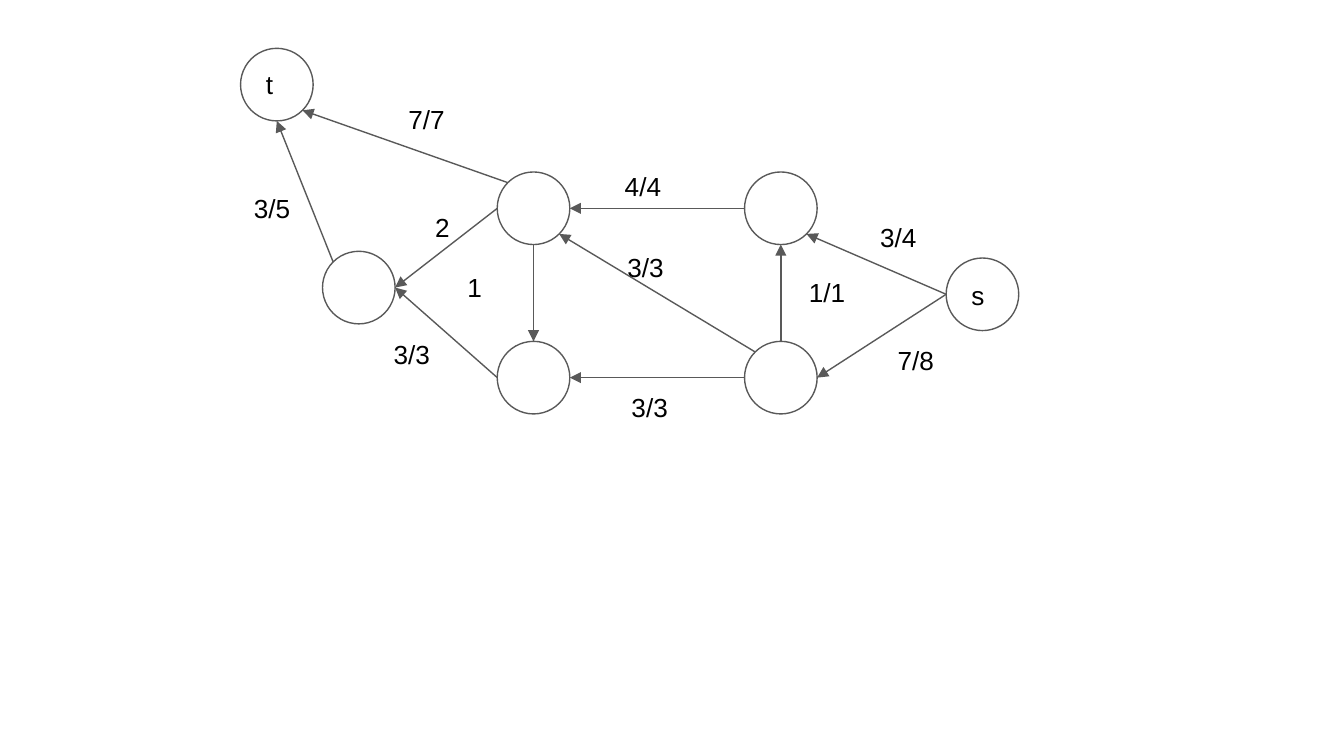
from math import sqrt

from lxml import etree
from pptx import Presentation
from pptx.dml.color import RGBColor
from pptx.enum.shapes import MSO_CONNECTOR, MSO_SHAPE
from pptx.enum.text import MSO_AUTO_SIZE
from pptx.oxml.ns import qn
from pptx.util import Inches, Pt

SLIDE_WIDTH = 10
SLIDE_HEIGHT = SLIDE_WIDTH * 9 / 16
DIAMETER = 0.54
LABEL_HEIGHT = 0.44

# Compass points on a circle of radius 1
DIAGONAL = sqrt(0.5)
COMPASS = {
    "N": (0, -1), "S": (0, 1), "W": (-1, 0), "E": (1, 0),
    "NW": (-DIAGONAL, -DIAGONAL), "SE": (DIAGONAL, DIAGONAL),
}


def color(hex_value):
    return RGBColor.from_string(hex_value)


class FlowGraph:
    font, size = "Arial", 14
    ink, stroke, paper = "000000", "595959", "FFFFFF"
    stroke_width = 0.75

    def __init__(self, slide, nodes):
        self.slide = slide
        self.nodes = nodes

    def outline(self, line):
        line.color.rgb = color(self.stroke)
        line.width = Pt(self.stroke_width)

    def node(self, name):
        left, top = self.nodes[name]
        circle = self.slide.shapes.add_shape(
            MSO_SHAPE.OVAL, Inches(left), Inches(top), Inches(DIAMETER), Inches(DIAMETER))
        circle.shadow.inherit = False
        circle.fill.solid()
        circle.fill.fore_color.rgb = color(self.paper)
        self.outline(circle.line)

    def rim(self, name, side):
        """Point on the rim of a node, as lengths."""
        radius = DIAMETER / 2
        return [Inches(start + radius * (1 + step))
                for start, step in zip(self.nodes[name], COMPASS[side])]

    def edge(self, source, source_side, target, target_side):
        arrow = self.slide.shapes.add_connector(
            MSO_CONNECTOR.STRAIGHT,
            *self.rim(source, source_side), *self.rim(target, target_side))
        self.outline(arrow.line)
        properties = arrow.element.spPr
        etree.SubElement(properties.find(qn("a:ln")), qn("a:tailEnd"), type="triangle")
        etree.SubElement(properties, qn("a:effectLst"))

    def label(self, text, left, top, width):
        box = self.slide.shapes.add_textbox(
            Inches(left), Inches(top), Inches(width), Inches(LABEL_HEIGHT))
        frame = box.text_frame
        frame.word_wrap = True
        frame.auto_size = MSO_AUTO_SIZE.SHAPE_TO_FIT_TEXT
        frame.margin_left = frame.margin_right = Inches(0.1)
        frame.margin_top = frame.margin_bottom = Inches(0.1)
        run = frame.paragraphs[0].add_run()
        run.text = text
        run.font.name = self.font
        run.font.size = Pt(self.size)
        run.font.color.rgb = color(self.ink)


# Left and top of each node
NODES = {
    "upper left": (3.7, 1.28), "lower left": (3.7, 2.54),
    "upper right": (5.54, 1.28), "lower right": (5.54, 2.54),
    "junction": (2.4, 1.87), "source": (7.04, 1.92), "sink": (1.79, 0.36),
}

EDGES = [
    ("lower right", "N", "upper right", "S"),
    ("lower right", "NW", "upper left", "SE"),
    ("lower right", "W", "lower left", "E"),
    ("upper right", "W", "upper left", "E"),
    ("upper left", "W", "junction", "E"),
    ("lower left", "W", "junction", "E"),
    ("upper left", "S", "lower left", "N"),
    ("source", "W", "upper right", "SE"),
    ("source", "W", "lower right", "E"),
    ("junction", "NW", "sink", "S"),
    ("upper left", "NW", "sink", "SE"),
]

# Text, left, top, width
FLOWS = [
    ("3/4", 6.45, 1.55, 0.53), ("7/7", 2.94, 0.67, 0.53),
    ("3/5", 1.79, 1.33, 0.54), ("4/4", 4.55, 1.17, 0.81),
    ("3/3", 4.6, 2.81, 0.65), ("3/3", 4.57, 1.77, 0.75),
    ("3/3", 2.83, 2.42, 0.75), ("2", 3.14, 1.47, 0.36),
    ("1/1", 5.92, 1.96, 0.53), ("7/8", 6.58, 2.46, 0.54),
    ("1", 3.38, 1.92, 0.75),
]
TERMINALS = [("t", 1.88, 0.41, 0.36), ("s", 7.13, 1.98, 0.36)]


def main():
    deck = Presentation()
    deck.slide_width = Inches(SLIDE_WIDTH)
    deck.slide_height = Inches(SLIDE_HEIGHT)
    graph = FlowGraph(deck.slides.add_slide(deck.slide_layouts[6]), NODES)

    # Nodes, then the edges between them
    for name in NODES:
        graph.node(name)
    for edge in EDGES:
        graph.edge(*edge)

    # Flow over capacity, and the names of sink and source
    for label in FLOWS + TERMINALS:
        graph.label(*label)

    deck.save("out.pptx")


if __name__ == "__main__":
    main()
